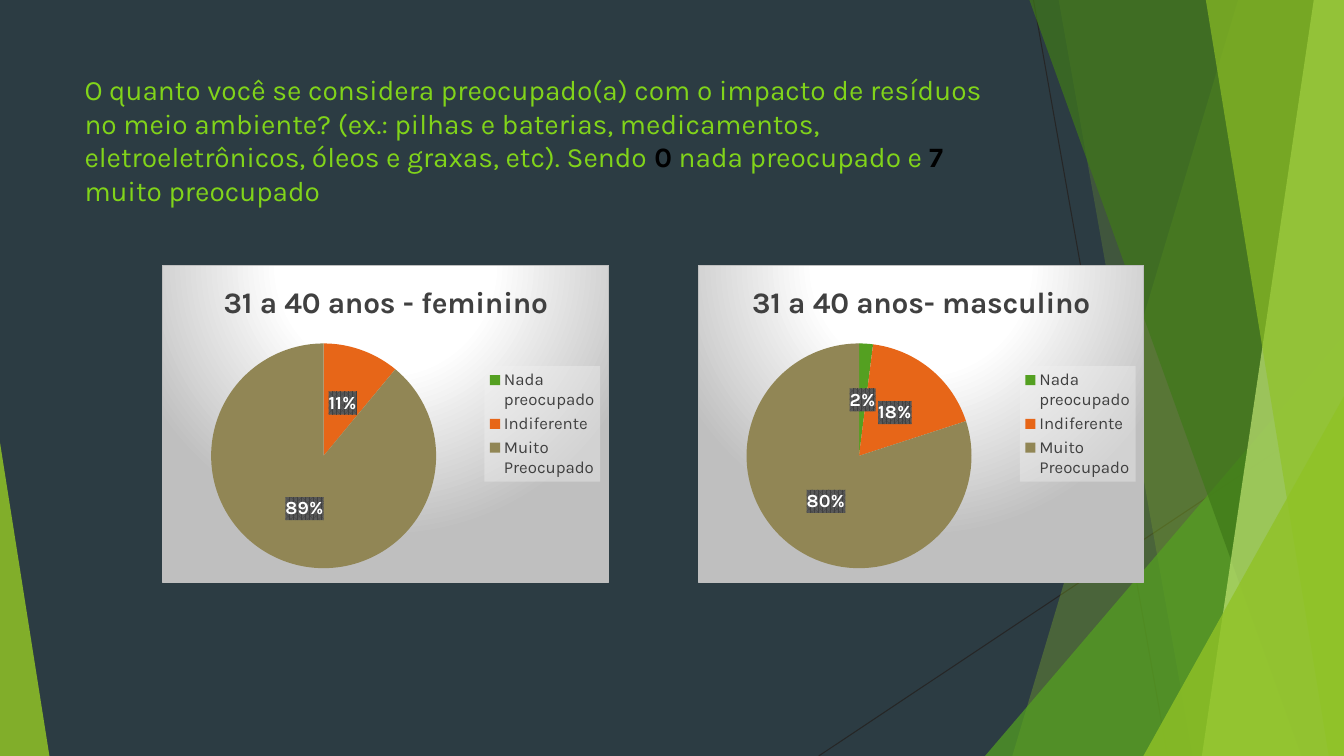
"""Builds a slide with two pie charts about concern over waste."""
from lxml.etree import SubElement
from pptx import Presentation
from pptx.chart.data import CategoryChartData
from pptx.dml.color import RGBColor
from pptx.enum.chart import XL_CHART_TYPE, XL_LABEL_POSITION, XL_LEGEND_POSITION
from pptx.enum.shapes import MSO_CONNECTOR, MSO_SHAPE
from pptx.oxml import parse_xml
from pptx.oxml.ns import nsdecls, qn
from pptx.util import Inches, Pt

FONT = "Karla"
WIDTH, HEIGHT = 13.33, 7.5
BACKGROUND = RGBColor(0x2C, 0x3C, 0x43)
LEAF = RGBColor(0x90, 0xC2, 0x26)
GREEN = RGBColor(0x54, 0xA0, 0x21)
FOREST = RGBColor(0x3F, 0x78, 0x19)
PALE = RGBColor(0xC0, 0xE4, 0x74)
LIME = RGBColor(0x81, 0xD4, 0x1A)
ORANGE = RGBColor(0xE7, 0x66, 0x18)
OLIVE = RGBColor(0x91, 0x86, 0x55)
DARK = RGBColor(0x26, 0x26, 0x26)
GRAY = RGBColor(0x40, 0x40, 0x40)
BLACK = RGBColor(0, 0, 0)
WHITE = RGBColor(0xFF, 0xFF, 0xFF)

CATEGORIES = ("Nada preocupado", "Indiferente", "Muito Preocupado")
SLICE_COLORS = (GREEN, ORANGE, OLIVE)
QUESTION = (
    ("O quanto você se considera preocupado(a) com o impacto de resíduos no meio "
     "ambiente? (ex.: pilhas e baterias, medicamentos, eletroeletrônicos, óleos e "
     "graxas, etc). Sendo ", False),
    ("0", True),
    (" nada preocupado e ", False),
    ("7", True),
    (" muito preocupado", False),
)
CHART_FILL = (
    '<a:gradFill><a:gsLst><a:gs pos="0"><a:srgbClr val="FFFFFF"/></a:gs>'
    '<a:gs pos="39000"><a:srgbClr val="FFFFFF"/></a:gs>'
    '<a:gs pos="100000"><a:srgbClr val="BFBFBF"/></a:gs></a:gsLst>'
    '<a:path path="circle"><a:fillToRect l="50000" t="-80000" r="50000" b="180000"/>'
    '</a:path></a:gradFill>'
    '<a:ln w="9525"><a:solidFill><a:srgbClr val="BFBFBF"/></a:solidFill></a:ln>')
LEGEND_FILL = ('<a:solidFill><a:srgbClr val="F2F2F2"><a:alpha val="39000"/>'
               '</a:srgbClr></a:solidFill>')
LABEL_FILL = ('<a:pattFill prst="pct75"><a:fgClr><a:srgbClr val="404040"/></a:fgClr>'
              '<a:bgClr><a:srgbClr val="595959"/></a:bgClr></a:pattFill>')


def style_font(font, size, color, bold=False):
    """Set typeface, size, colour and weight."""
    font.name = FONT
    font.size = Pt(size)
    font.color.rgb = color
    font.bold = bold


def paint(shape, color, opacity):
    """Give a shape a translucent fill without line or shadow."""
    shape.shadow.inherit = False
    shape.line.fill.background()
    shape.fill.solid()
    shape.fill.fore_color.rgb = color
    tint = shape._element.spPr.find(qn("a:solidFill"))[0]
    SubElement(tint, qn("a:alpha")).set("val", str(opacity * 1000))


def add_line(page, start, end):
    """Draw a thin dark line."""
    line = page.shapes.add_connector(
        MSO_CONNECTOR.STRAIGHT, *(Inches(value) for value in start + end))
    line.line.color.rgb = DARK
    line.line.width = Pt(0.75)
    SubElement(line._element.spPr, qn("a:effectLst"))


def add_band(page, top_x, bottom_x, color, opacity):
    """Draw a full-height band from a slanted edge to the right side."""
    points = [(Inches(x), Inches(y)) for x, y in (
        (top_x, 0), (WIDTH, 0), (WIDTH, HEIGHT), (bottom_x, HEIGHT))]
    builder = page.shapes.build_freeform(*points[0])
    builder.add_line_segments(points[1:], close=True)
    paint(builder.convert_to_shape(), color, opacity)


def add_triangle(page, left, top, width, apex, color, opacity):
    """Draw a triangle that stands on the bottom edge."""
    triangle = page.shapes.add_shape(
        MSO_SHAPE.ISOSCELES_TRIANGLE, Inches(left), Inches(top),
        Inches(width), Inches(HEIGHT - top))
    triangle.adjustments[0] = apex
    paint(triangle, color, opacity)


def add_decoration(page):
    """Draw the green facets from back to front."""
    add_line(page, (10.25, 0), (11.58, HEIGHT))
    add_line(page, (WIDTH, 4.03), (8.12, HEIGHT))
    add_band(page, 12.28, 10.04, LEAF, 30)
    add_band(page, 10.5, 11.83, LEAF, 20)
    add_triangle(page, 9.77, 3.33, 3.56, 1, GREEN, 72)
    add_band(page, 10.21, 12.91, FOREST, 70)
    add_band(page, 13.03, 11.92, PALE, 70)
    add_band(page, 11.96, 13.18, LEAF, 65)
    add_triangle(page, 11.34, 3.93, 1.99, 1, LEAF, 80)
    add_triangle(page, 0, 4.39, 0.49, 0, LEAF, 85)


def add_question(page):
    """Write the survey question with its scale ends in bold."""
    box = page.shapes.add_textbox(Inches(0.74), Inches(0.67), Inches(9.4), Inches(1.44))
    box.text_frame.word_wrap = True
    para = box.text_frame.paragraphs[0]
    for text, strong in QUESTION:
        span = para.add_run()
        span.text = text
        style_font(span.font, 20, BLACK if strong else LIME, strong)


def add_backdrop(element, fill):
    """Put a fill behind a chart part that already has text properties."""
    element.find(qn("c:txPr")).addprevious(
        parse_xml(f'<c:spPr {nsdecls("c", "a")}>{fill}</c:spPr>'))


def add_pie(page, left, title, values):
    """Add a pie chart with title, legend and percent labels."""
    data = CategoryChartData()
    data.categories = CATEGORIES
    data.add_series("Series 1", values)
    chart = page.shapes.add_chart(
        XL_CHART_TYPE.PIE, Inches(left), Inches(2.63), Inches(4.43), Inches(3.15),
        data).chart
    style_font(chart.font, 10, WHITE)
    add_backdrop(chart._chartSpace, CHART_FILL)

    chart.has_title = True
    span = chart.chart_title.text_frame.paragraphs[0].add_run()
    span.text = title
    style_font(span.font, 21.3, GRAY, True)
    chart.chart_title.include_in_layout = False

    chart.has_legend = True
    chart.legend.position = XL_LEGEND_POSITION.RIGHT
    chart.legend.include_in_layout = False
    style_font(chart.legend.font, 12, GRAY)
    add_backdrop(chart.legend._element, LEGEND_FILL)

    plot = chart.plots[0]
    plot.vary_by_categories = True
    series = plot.series[0]
    for index, color in enumerate(SLICE_COLORS):
        fill = series.points[index].format.fill
        fill.solid()
        fill.fore_color.rgb = color

    labels = series.data_labels
    labels.show_percentage = True
    labels.show_value = False
    labels.number_format = "0%"
    labels.number_format_is_linked = False
    labels.position = XL_LABEL_POSITION.CENTER
    style_font(labels.font, 13.3, WHITE, True)
    add_backdrop(labels._element, LABEL_FILL)
    if 0 in values:
        hidden = parse_xml(
            f'<c:dLbl {nsdecls("c")}><c:idx val="{values.index(0)}"/>'
            '<c:delete val="1"/></c:dLbl>')
        labels._element.insert(0, hidden)


def main():
    """Build and save the deck."""
    deck = Presentation()
    deck.slide_width, deck.slide_height = Inches(WIDTH), Inches(HEIGHT)
    page = deck.slides.add_slide(deck.slide_layouts[6])
    page.background.fill.solid()
    page.background.fill.fore_color.rgb = BACKGROUND
    add_decoration(page)
    add_question(page)
    add_pie(page, 1.61, "31 a 40 anos - feminino", (0, 11, 89))
    add_pie(page, 6.92, "31 a 40 anos- masculino", (2, 18, 80))
    deck.save("out.pptx")


if __name__ == "__main__":
    main()
